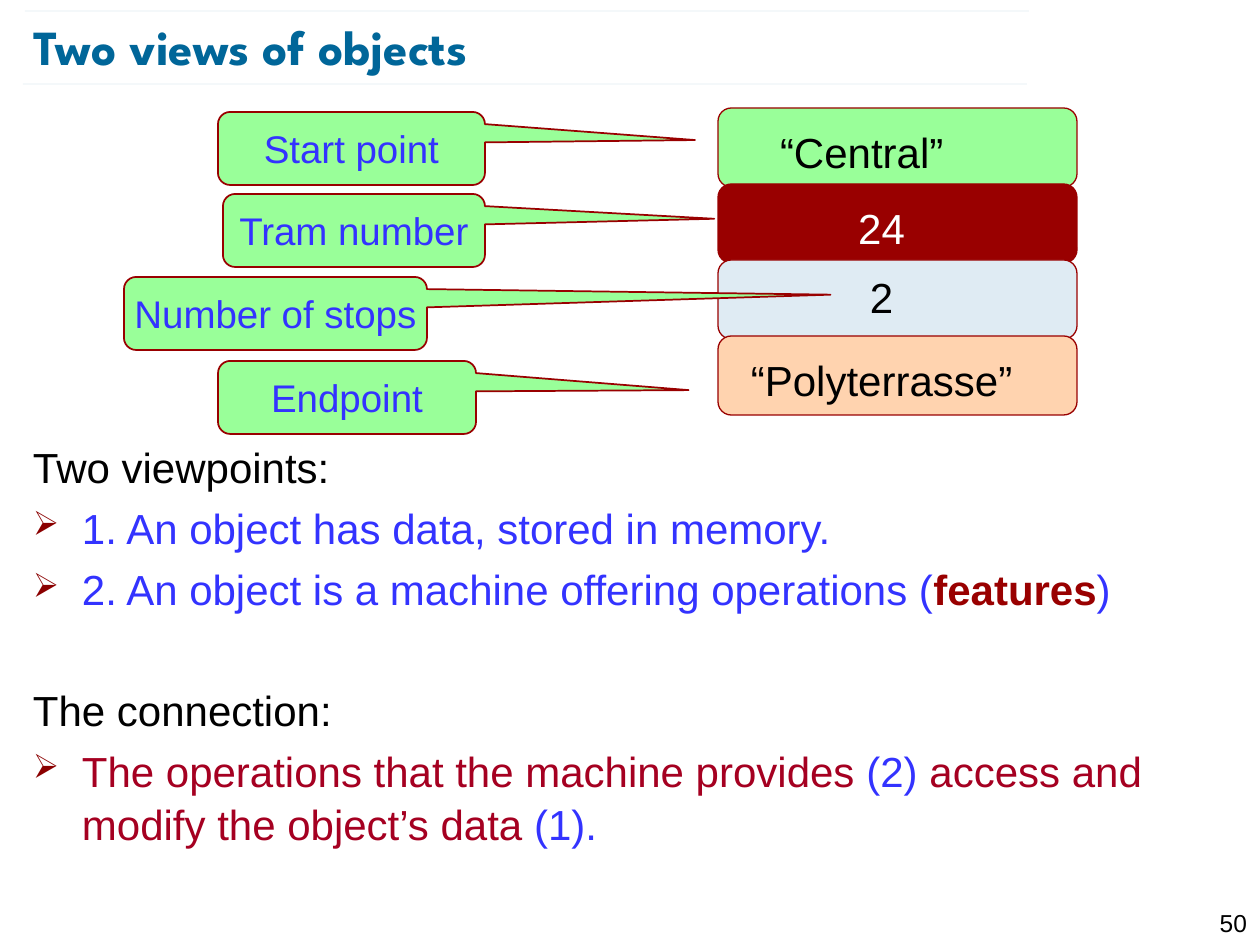
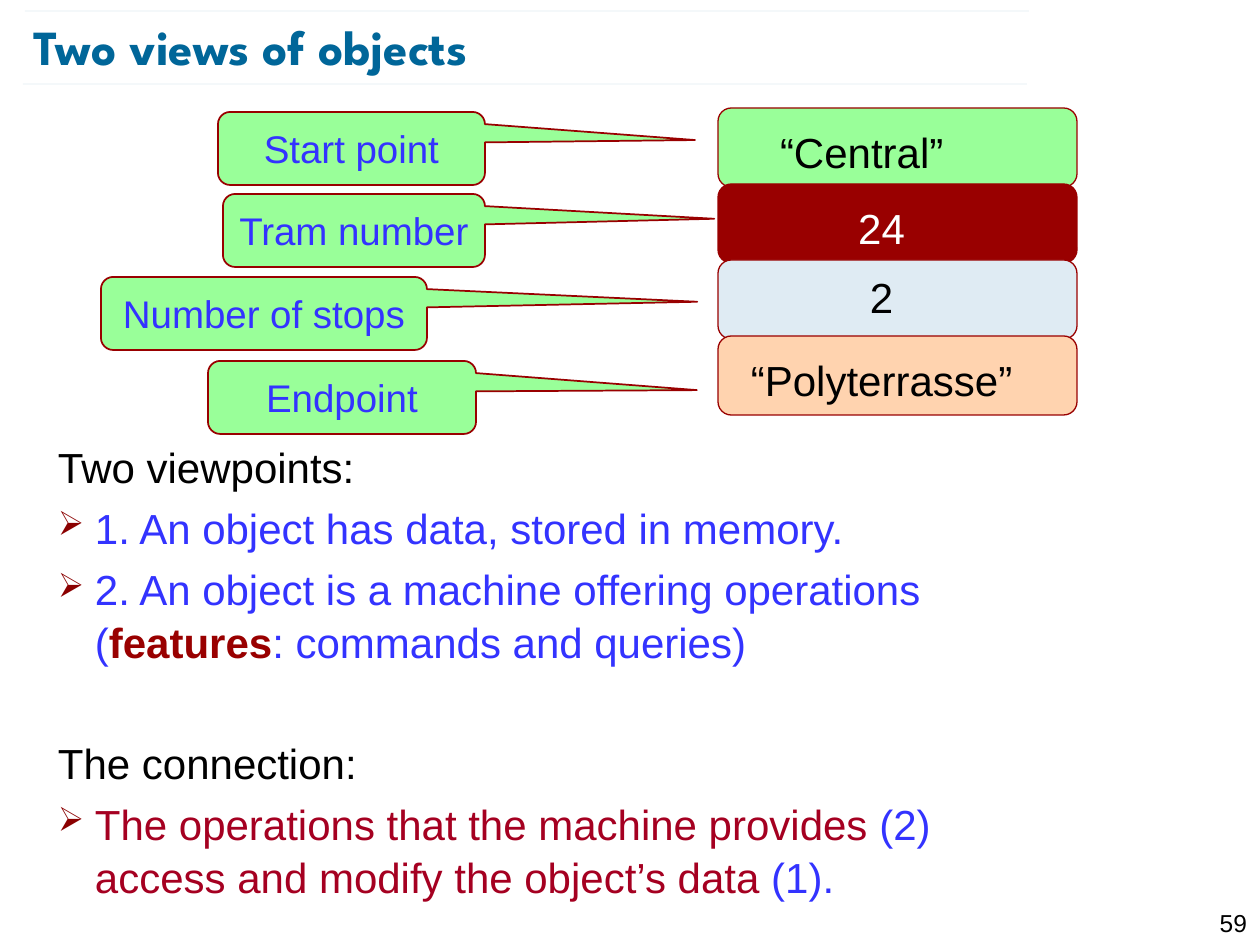
import pptx
import pptx.dml.color
import pptx.enum.shapes
import pptx.enum.text
import pptx.oxml.ns
import pptx.util
from lxml import etree

PX = 914400 / 126
SLIDE_SIZE = (1260, 945)
COLOURS = {
    "title": "006699", "black": "000000", "white": "FFFFFF", "blue": "3333FF",
    "red": "990000", "crimson": "A50021", "bullet": "8B0000",
    "green": "99FF99", "pale": "DFEBF3", "peach": "FFD3AF",
}
TITLE = "Two views of objects"
TITLE_FONT = {"name": "League Spartan", "size": pptx.util.Pt(28), "bold": True}
BODY_FONT = {"name": "Arial", "size": pptx.util.Pt(24), "bold": False}
BOLD_FONT = {**BODY_FONT, "bold": True}
CALLOUT_FONT = {"name": "Arial", "size": pptx.util.Pt(22)}
NUMBER_FONT = {"name": "Arial", "size": pptx.util.Pt(14)}
LEFT = pptx.enum.text.PP_ALIGN.LEFT
CENTER = pptx.enum.text.PP_ALIGN.CENTER
RIGHT = pptx.enum.text.PP_ALIGN.RIGHT
MIDDLE = pptx.enum.text.MSO_ANCHOR.MIDDLE
TOP = pptx.enum.text.MSO_ANCHOR.TOP
SHAPES = pptx.enum.shapes.MSO_SHAPE
ROUNDING = 0.167
LINE_SPACING = 1.05
SPACE_BEFORE = pptx.util.Pt(4.8)
SECTION_SPACE = pptx.util.Pt(38.5)

# Fill of the field, its value, then place, alignment and colour of the value
FIELDS = [
    ("green", "“Central”", (767, 121, 307, 63), LEFT, "black"),
    ("red", "24", (728, 197, 307, 63), CENTER, "white"),
    ("pale", "2", (728, 266, 307, 63), CENTER, "black"),
    ("peach", "“Polyterrasse”", (738, 349, 338, 63), LEFT, "black"),
]
FIELD_LEFT, FIELD_TOP, FIELD_WIDTH, FIELD_HEIGHT, FIELD_PITCH = 718, 108, 359, 79, 76

# Label, left, top, width, and the pointer tip relative to the size
START = ("Start point", 218, 112, 267, (1.287, -0.115))
TRAM = ("Tram number", 223, 194, 262, (1.375, -0.16))
CALLOUT_HEIGHT = 73

VIEWPOINTS = [("Two viewpoints:", "black")]
MEMORY = [("1. An object has data, stored in memory.", "blue")]
CONNECTION = [("The connection:", "black")]

SLIDES = [
    {
        "number": "50",
        "callouts": [
            START, TRAM,
            ("Number of stops", 124, 277, 303, (1.832, -0.257)),
            ("Endpoint", 218, 361, 258, (1.324, -0.1)),
        ],
        "margin": 49, "hanging": 49,
        "machine": [("2. An object is a machine offering operations (", "blue"),
                    ("features", "red"), (")", "blue")],
        "access": [("The operations that the machine provides ", "crimson"), ("(2)", "blue"),
                   (" access and modify the object’s data ", "crimson"), ("(1).", "blue")],
    },
    {
        "number": "59",
        "callouts": [
            START, TRAM,
            ("Number of stops", 101, 277, 326, (1.329, -0.16)),
            ("Endpoint", 208, 361, 268, (1.324, -0.1)),
        ],
        "margin": 62, "hanging": 37,
        "machine": [("2. An object is a machine offering operations\n(", "blue"),
                    ("features", "red"), (": commands and queries)", "blue")],
        "access": [("The operations that the machine provides ", "crimson"), ("(2)\n", "blue"),
                   ("access and modify the object’s data ", "crimson"), ("(1).", "blue")],
    },
]


def emu(*lengths):
    return [round(length * PX) for length in lengths]


def rgb(name):
    return pptx.dml.color.RGBColor.from_string(COLOURS[name])


def set_formats(target, formats):
    for name, value in formats.items():
        setattr(target, name, value)


def set_frame(frame, anchor=TOP, inset_x=13, inset_y=6):
    across, down = emu(inset_x, inset_y)
    set_formats(frame, {
        "word_wrap": True, "vertical_anchor": anchor,
        "margin_left": across, "margin_right": across,
        "margin_top": down, "margin_bottom": down,
    })


def add_span(para, text, font, colour):
    """Add text to a paragraph, with a line break at each newline."""
    for index, piece in enumerate(text.split("\n")):
        if index:
            para.add_line_break()
        if piece:
            span = para.add_run()
            span.text = piece
            set_formats(span.font, font)
            span.font.color.rgb = rgb(colour)


def add_text(page, place, text, font, colour, align=LEFT, **frame_formats):
    box = page.shapes.add_textbox(*emu(*place))
    set_frame(box.text_frame, **frame_formats)
    para = box.text_frame.paragraphs[0]
    para.alignment = align
    add_span(para, text, font, colour)


def add_filled_shape(page, kind, place, fill, line_width, adjustments):
    shape = page.shapes.add_shape(kind, *emu(*place))
    shape.shadow.inherit = False
    shape.fill.solid()
    shape.fill.fore_color.rgb = rgb(fill)
    shape.line.color.rgb = rgb("red")
    shape.line.width = pptx.util.Pt(line_width)
    for index, value in enumerate(adjustments):
        shape.adjustments[index] = value
    return shape


def add_rule(page, left, top, width):
    rule = page.shapes.add_connector(
        pptx.enum.shapes.MSO_CONNECTOR.STRAIGHT, *emu(left, top, left + width, top))
    rule.line.color.rgb = rgb("title")
    rule.line.width = pptx.util.Pt(0.1)
    properties = rule._element.spPr
    colour = properties.find(".//" + pptx.oxml.ns.qn("a:srgbClr"))
    etree.SubElement(colour, pptx.oxml.ns.qn("a:alpha"), val="35000")
    etree.SubElement(properties, pptx.oxml.ns.qn("a:effectLst"))


def add_page_furniture(page, number):
    add_text(page, (1191, 902, 69, 30), number, NUMBER_FONT, "black", RIGHT)
    add_rule(page, 23, 84, 1004)
    add_rule(page, 25, 11, 1004)
    add_text(page, (34, 16, 1095, 60), TITLE, TITLE_FONT, "title",
             anchor=MIDDLE, inset_x=0, inset_y=0)


def add_fields(page):
    """Stack the fields of the object, then lay their values on top."""
    for row, (fill, *_) in enumerate(FIELDS):
        place = (FIELD_LEFT, FIELD_TOP + row * FIELD_PITCH, FIELD_WIDTH, FIELD_HEIGHT)
        add_filled_shape(page, SHAPES.ROUNDED_RECTANGLE, place, fill, 0.75, [ROUNDING])
    for _, value, place, align, colour in FIELDS:
        add_text(page, place, value, BODY_FONT, colour, align)


def add_callout(page, label, left, top, width, tip):
    callout = add_filled_shape(page, SHAPES.ROUNDED_RECTANGULAR_CALLOUT,
                               (left, top, width, CALLOUT_HEIGHT), "green", 1,
                               [*tip, ROUNDING])
    set_frame(callout.text_frame, MIDDLE, inset_x=0)
    para = callout.text_frame.paragraphs[0]
    para.alignment = CENTER
    add_span(para, label, CALLOUT_FONT, "blue")


def set_indent(para, margin, hanging, bulleted):
    properties = para._p.get_or_add_pPr()
    left, first = emu(margin, -hanging)
    properties.set("marL", str(left))
    properties.set("indent", str(first))
    if bulleted:
        colour = etree.SubElement(properties, pptx.oxml.ns.qn("a:buClr"))
        etree.SubElement(colour, pptx.oxml.ns.qn("a:srgbClr"), val=COLOURS["bullet"])
        etree.SubElement(properties, pptx.oxml.ns.qn("a:buSzPct"), val="80000")
        etree.SubElement(properties, pptx.oxml.ns.qn("a:buChar"), char="➢")
    else:
        etree.SubElement(properties, pptx.oxml.ns.qn("a:buNone"))


def add_body(page, content):
    box = page.shapes.add_textbox(*emu(20, 433, 1208, 465))
    frame = box.text_frame
    set_frame(frame)
    lines = [
        (VIEWPOINTS, False, 0),
        (MEMORY, True, SPACE_BEFORE),
        (content["machine"], True, SPACE_BEFORE),
        (CONNECTION, False, SECTION_SPACE),
        (content["access"], True, SPACE_BEFORE),
    ]
    for index, (spans, bulleted, space) in enumerate(lines):
        para = frame.add_paragraph() if index else frame.paragraphs[0]
        set_indent(para, content["margin"], content["hanging"], bulleted)
        set_formats(para, {"line_spacing": LINE_SPACING})
        if space:
            para.space_before = space
        for text, colour in spans:
            add_span(para, text, BOLD_FONT if colour == "red" else BODY_FONT, colour)


def main():
    deck = pptx.Presentation()
    deck.slide_width, deck.slide_height = emu(*SLIDE_SIZE)
    for content in SLIDES:
        page = deck.slides.add_slide(deck.slide_layouts[6])
        add_page_furniture(page, content["number"])
        add_body(page, content)
        add_fields(page)
        for callout in content["callouts"]:
            add_callout(page, *callout)
    deck.save("out.pptx")


if __name__ == "__main__":
    main()
